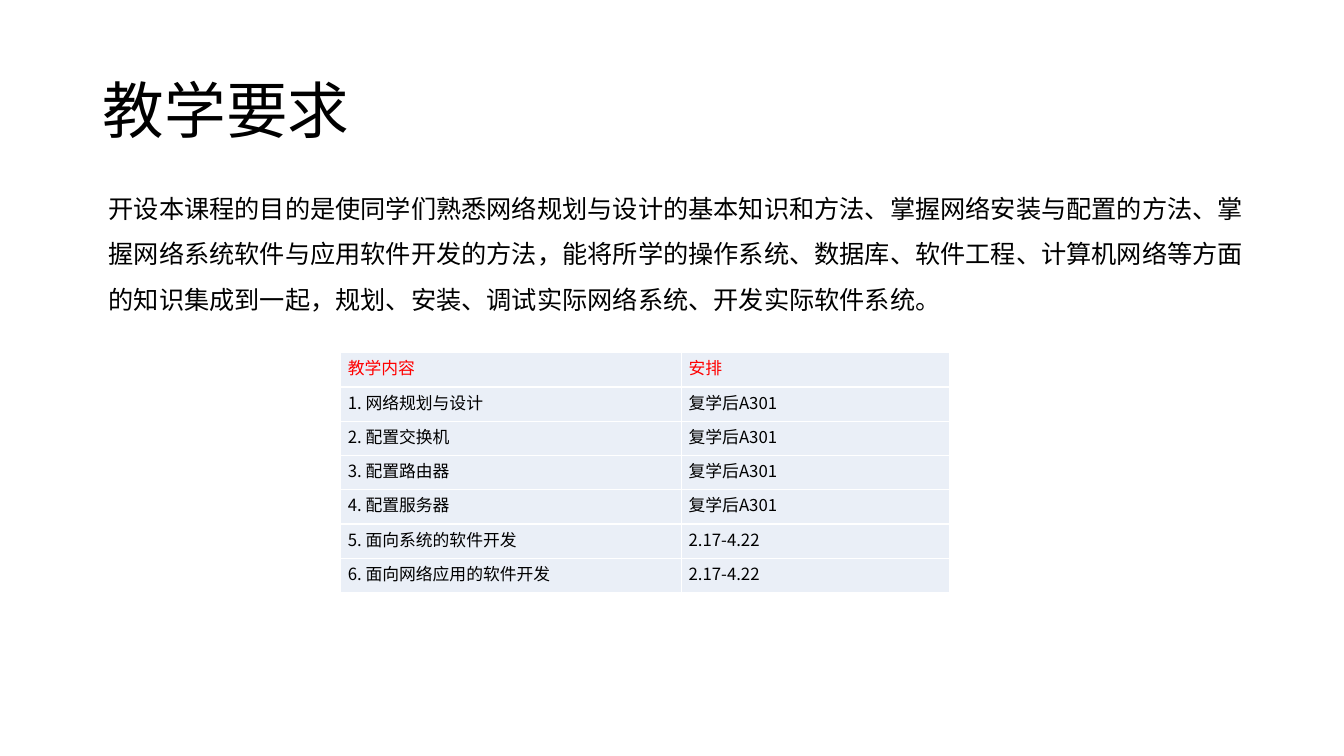
from dataclasses import dataclass

from lxml.etree import SubElement
from pptx import Presentation
from pptx.dml.color import RGBColor
from pptx.enum.text import MSO_ANCHOR, MSO_AUTO_SIZE, PP_ALIGN
from pptx.oxml import parse_xml
from pptx.oxml.ns import nsdecls, qn
from pptx.util import Emu, Length, Pt

EMU_PER_PX = 9144
FONT = "Noto Sans CJK SC"
BLACK = "000000"
RED = "FF0000"
WHITE = "FFFFFF"
CELL_FILL = "EAEFF7"
COLUMN_WIDTHS = (338, 266)
ROW_HEIGHT = 34
TITLE = "教学要求"
PURPOSE = (
    "开设本课程的目的是使同学们熟悉网络规划与设计的基本知识和方法、"
    "掌握网络安装与配置的方法、掌握网络系统软件与应用软件开发的方法，"
    "能将所学的操作系统、数据库、软件工程、计算机网络等方面的知识集成到一起，"
    "规划、安装、调试实际网络系统、开发实际软件系统。"
)


@dataclass(frozen=True)
class Lesson:
    content: str
    schedule: str
    color: str = BLACK


LESSONS = (
    Lesson("教学内容", "安排", RED),
    Lesson("1. 网络规划与设计", "复学后A301"),
    Lesson("2. 配置交换机", "复学后A301"),
    Lesson("3. 配置路由器", "复学后A301"),
    Lesson("4. 配置服务器", "复学后A301"),
    Lesson("5. 面向系统的软件开发", "2.17-4.22"),
    Lesson("6. 面向网络应用的软件开发", "2.17-4.22"),
)


def px(value: int) -> Emu:
    return Emu(value * EMU_PER_PX)


def rgb(value: str) -> RGBColor:
    return RGBColor.from_string(value)


def write(frame, text: str, size: int, color: str, spacing: float | Length) -> None:
    paragraph = frame.paragraphs[0]
    paragraph.alignment = PP_ALIGN.LEFT
    paragraph.line_spacing = spacing
    run = paragraph.add_run()
    run.text = text
    run.font.size = Pt(size)
    run.font.color.rgb = rgb(color)
    run.font.name = FONT
    SubElement(run.font._element, qn("a:ea"), typeface=FONT)


def draw_borders(cell) -> None:
    properties = cell._tc.get_or_add_tcPr()
    for index, side in enumerate(("lnL", "lnR", "lnT", "lnB")):
        border = parse_xml(
            f'<a:{side} {nsdecls("a")} w="12700"><a:solidFill>'
            f'<a:srgbClr val="{WHITE}"/></a:solidFill></a:{side}>'
        )
        properties.insert(index, border)


def fill_cell(cell, text: str, color: str) -> None:
    cell.fill.solid()
    cell.fill.fore_color.rgb = rgb(CELL_FILL)
    cell.vertical_anchor = MSO_ANCHOR.MIDDLE
    cell.margin_left = cell.margin_right = px(7)
    cell.margin_top = cell.margin_bottom = px(0)
    write(cell.text_frame, text, 12, color, Pt(14))
    draw_borders(cell)


def add_title(slide) -> None:
    title = slide.shapes.title
    title.left, title.top, title.width, title.height = map(px, (92, 40, 1150, 145))
    title.text_frame.vertical_anchor = MSO_ANCHOR.MIDDLE
    write(title.text_frame, TITLE, 44, BLACK, 0.9)


def add_purpose(slide) -> None:
    purpose = slide.shapes.add_textbox(*map(px, (98, 172, 1150, 146)))
    purpose.text_frame.word_wrap = True
    purpose.text_frame.auto_size = MSO_AUTO_SIZE.SHAPE_TO_FIT_TEXT
    write(purpose.text_frame, PURPOSE, 18, BLACK, 1.5)


def add_schedule(slide) -> None:
    size = (sum(COLUMN_WIDTHS), ROW_HEIGHT * len(LESSONS))
    schedule = slide.shapes.add_table(
        len(LESSONS), len(COLUMN_WIDTHS), *map(px, (338, 350, *size))
    ).table
    for column, width in zip(schedule.columns, COLUMN_WIDTHS):
        column.width = px(width)
    for index, lesson in enumerate(LESSONS):
        schedule.rows[index].height = px(ROW_HEIGHT)
        for column, text in enumerate((lesson.content, lesson.schedule)):
            fill_cell(schedule.cell(index, column), text, lesson.color)
    schedule.first_row = False
    schedule.horz_banding = False


def main() -> None:
    presentation = Presentation()
    presentation.slide_width = px(1333)
    presentation.slide_height = px(750)
    slide = presentation.slides.add_slide(presentation.slide_layouts[5])
    add_title(slide)
    add_purpose(slide)
    add_schedule(slide)
    presentation.save("out.pptx")


if __name__ == "__main__":
    main()
